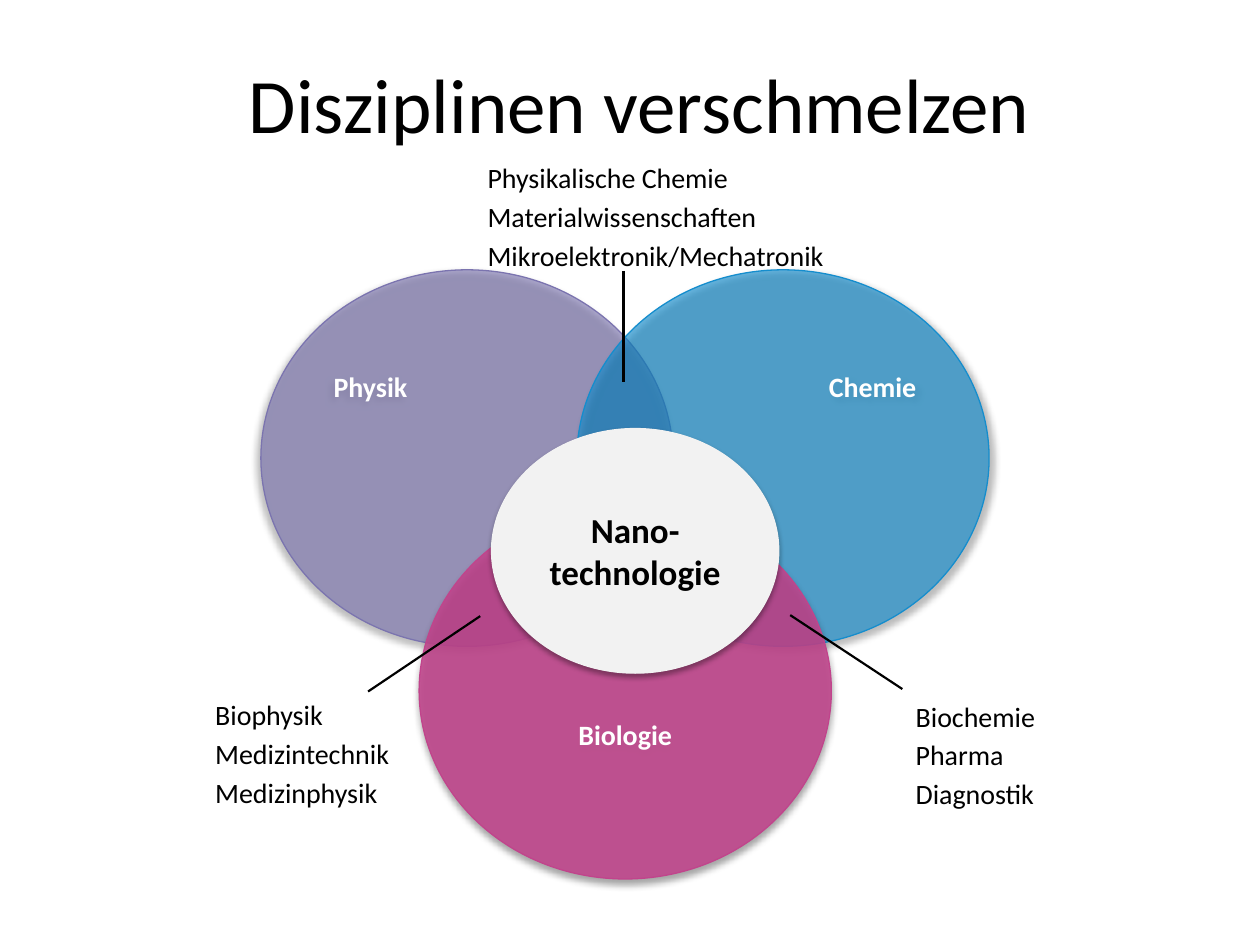
from lxml import etree
from pptx import Presentation
from pptx.dml.color import RGBColor
from pptx.enum import shapes, text
from pptx.oxml import ns
from pptx.util import Cm, Pt

FONT = "Calibri"
BLACK, WHITE, PALE = "000000", "FFFFFF", "F2F2F2"
TITLE = "Disziplinen verschmelzen"
ALIGN = text.PP_ALIGN

# Lengths are in centimetres.
CIRCLE_SIZE = (8.31, 7.59)
CIRCLES = [
    # label, left, top, colour, opacity %, shadow angle, alignment, text inset
    ("Physik", 5.26, 5.44, "7B74AF", 62, 135, ALIGN.LEFT, 0.9),
    ("Chemie", 11.63, 5.44, "158DCD", 65, 45, ALIGN.RIGHT, 0.9),
    ("Biologie", 8.45, 10.13, "C1448C", 87, 90, ALIGN.CENTER, 3.23),
]
CORE = ("Nano-technologie", (9.91, 8.64, 5.79, 4.93))
OVERLAP_HEIGHT = 2.51
OVERLAPS = [
    # fields, left, top, width, line start, line end
    (("Physikalische Chemie", "Materialwissenschaften", "Mikroelektronik/Mechatronik"),
     9.58, 3.12, 7.37, (12.57, 5.46), (12.57, 7.7)),
    (("Biochemie", "Pharma", "Diagnostik"),
     18.21, 13.97, 2.95, (18.19, 13.89), (15.93, 12.4)),
    (("Biophysik", "Medizintechnik", "Medizinphysik"),
     4.09, 13.94, 4.06, (7.42, 13.94), (9.68, 12.42)),
]


def paint(color_format, color):
    color_format.rgb = RGBColor.from_string(color)


def add_run(paragraph, content, size, color=BLACK, bold=False):
    run = paragraph.add_run()
    run.text = content
    run.font.name, run.font.size, run.font.bold = FONT, Pt(size), bold
    paint(run.font.color, color)


def set_opacity(shape, percent):
    color = shape.fill._xPr.find(".//" + ns.qn("a:srgbClr"))
    etree.SubElement(color, ns.qn("a:alpha"), val=str(percent * 1000))


def add_shadow(shape, blur, distance, angle, percent):
    effects = shape._element.spPr.find(ns.qn("a:effectLst"))
    shadow = etree.SubElement(
        effects, ns.qn("a:outerShdw"), blurRad=str(Pt(blur)), dist=str(Pt(distance)),
        dir=str(angle * 60000), rotWithShape="0")
    color = etree.SubElement(shadow, ns.qn("a:srgbClr"), val=BLACK)
    etree.SubElement(color, ns.qn("a:alpha"), val=str(percent * 1000))


def add_ellipse(slide, box, color, shadow):
    shape = slide.shapes.add_shape(shapes.MSO_SHAPE.OVAL, *map(Cm, box))
    shape.fill.solid()
    paint(shape.fill.fore_color, color)
    paint(shape.line.color, color)
    shape.line.width = Pt(0.75)
    shape.shadow.inherit = False
    add_shadow(shape, *shadow)
    return shape


def add_circle(slide, label, left, top, color, opacity, angle, alignment, inset):
    circle = add_ellipse(slide, (left, top, *CIRCLE_SIZE), color, (4, 3, angle, 40))
    set_opacity(circle, opacity)
    frame = circle.text_frame
    frame.vertical_anchor = text.MSO_ANCHOR.TOP
    frame.margin_top = Cm(inset)
    frame.paragraphs[0].alignment = alignment
    add_run(frame.paragraphs[0], label, 16, WHITE, True)


def add_core(slide, label, box):
    core = add_ellipse(slide, box, PALE, (3.1, 1.8, 90, 35))
    core.text_frame.vertical_anchor = text.MSO_ANCHOR.MIDDLE
    paragraph = core.text_frame.paragraphs[0]
    paragraph.alignment = ALIGN.CENTER
    add_run(paragraph, label, 20, BLACK, True)


def add_overlap(slide, fields, left, top, width, start, end):
    """List the fields where two disciplines meet, with a line to that area."""
    box = slide.shapes.add_textbox(*map(Cm, (left, top, width, OVERLAP_HEIGHT)))
    frame = box.text_frame
    frame.word_wrap = False
    frame.auto_size = text.MSO_AUTO_SIZE.SHAPE_TO_FIT_TEXT
    for index, field in enumerate(fields):
        paragraph = frame.add_paragraph() if index else frame.paragraphs[0]
        paragraph.space_after = Pt(3)
        add_run(paragraph, field, 16)
    line = slide.shapes.add_connector(
        shapes.MSO_CONNECTOR.STRAIGHT, *map(Cm, (*start, *end)))
    paint(line.line.color, BLACK)
    line.line.width = Pt(1.25)
    etree.SubElement(line._element.spPr, ns.qn("a:effectLst"))


def set_title(slide):
    title = slide.shapes.title
    title.left, title.top, title.width, title.height = map(Cm, (2.9, 0.91, 19.99, 1.75))
    frame = title.text_frame
    frame.auto_size = text.MSO_AUTO_SIZE.NONE
    frame.vertical_anchor = text.MSO_ANCHOR.TOP
    frame.margin_top = Cm(0.23)
    frame.paragraphs[0].alignment = ALIGN.CENTER
    add_run(frame.paragraphs[0], TITLE, 44)


def main():
    presentation = Presentation()
    presentation.slide_width, presentation.slide_height = Cm(25.4), Cm(19.05)
    slide = presentation.slides.add_slide(presentation.slide_layouts[5])
    set_title(slide)
    for circle in CIRCLES:
        add_circle(slide, *circle)
    add_core(slide, *CORE)
    for overlap in OVERLAPS:
        add_overlap(slide, *overlap)
    presentation.save("out.pptx")


if __name__ == "__main__":
    main()
